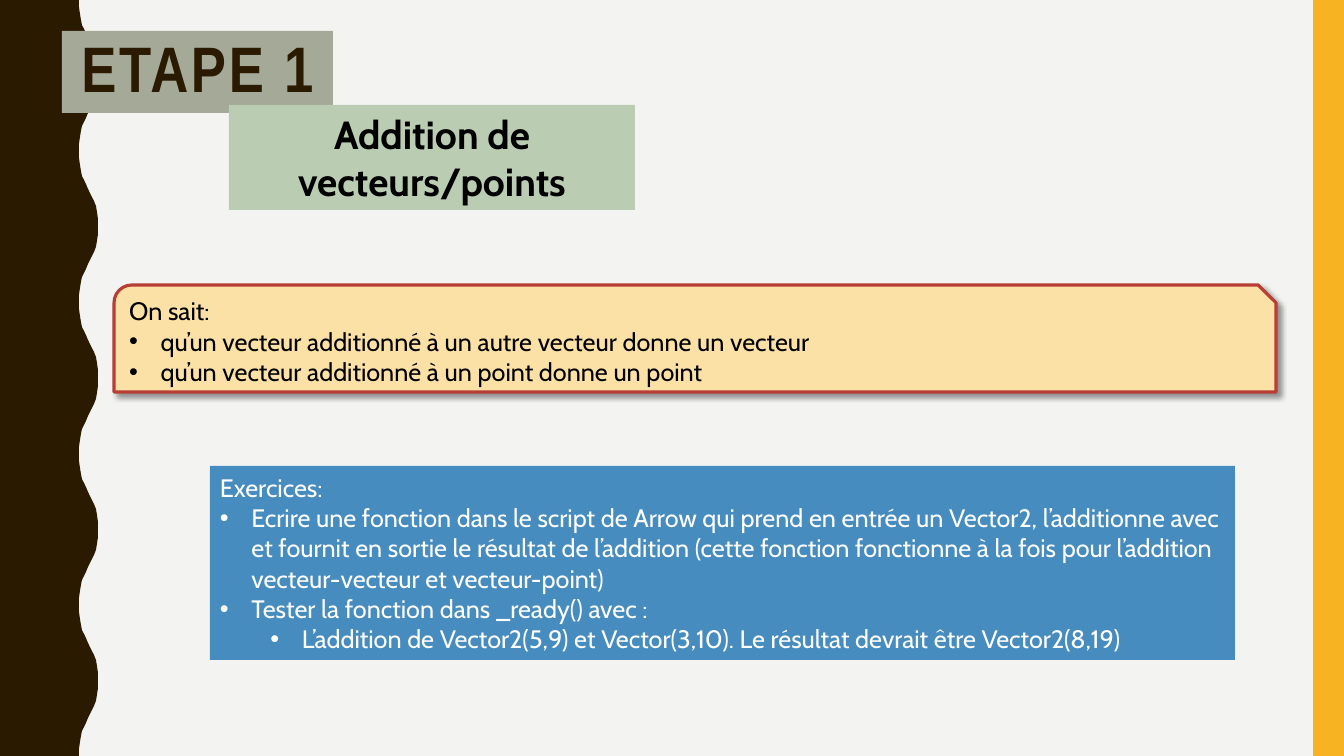
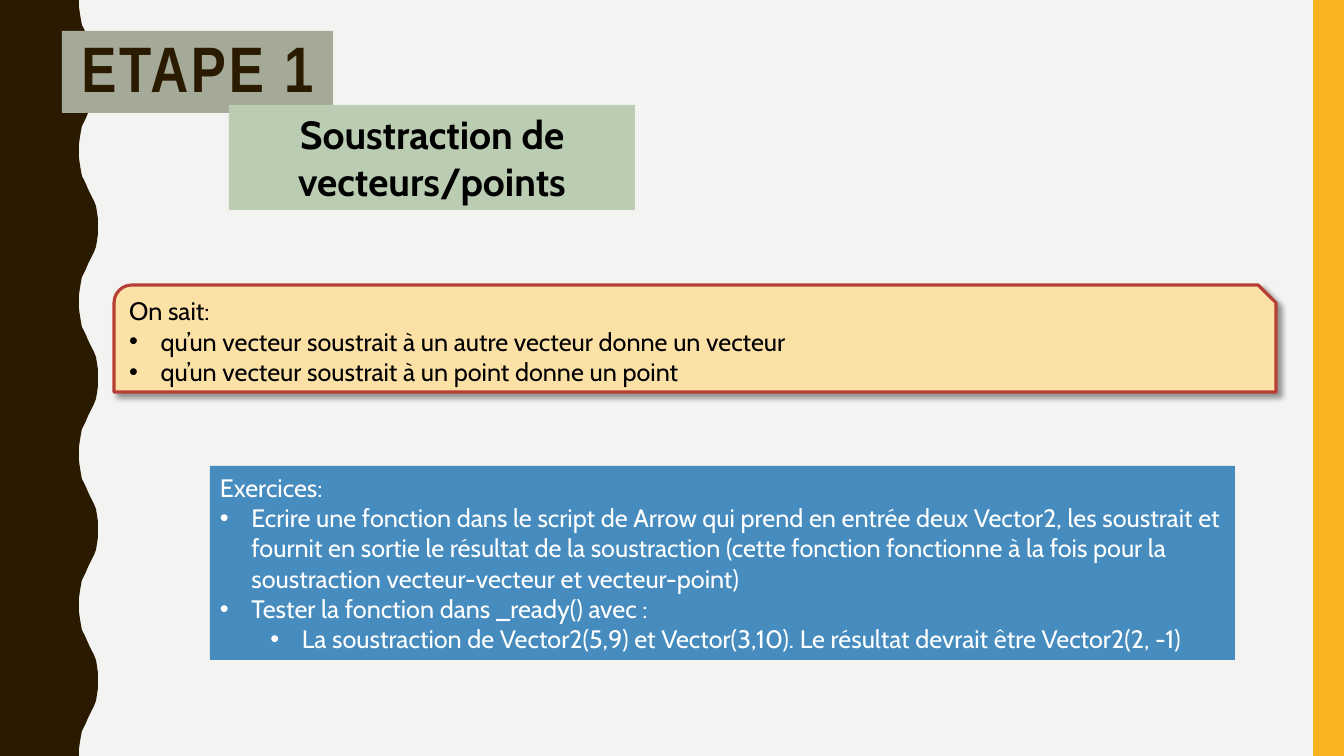
from lxml import etree
from pptx import Presentation
from pptx.dml.color import RGBColor
from pptx.enum.shapes import MSO_SHAPE
from pptx.enum.text import MSO_ANCHOR, MSO_AUTO_SIZE, PP_ALIGN
from pptx.oxml.ns import qn
from pptx.util import Emu, Pt

RECT = MSO_SHAPE.RECTANGLE
SNIP_ROUND = MSO_SHAPE.SNIP_ROUND_RECTANGLE
MIDDLE = MSO_ANCHOR.MIDDLE
GROW = MSO_AUTO_SIZE.SHAPE_TO_FIT_TEXT
FIXED = MSO_AUTO_SIZE.NONE
LEFT, CENTER, JUSTIFY = PP_ALIGN.LEFT, PP_ALIGN.CENTER, PP_ALIGN.JUSTIFY

WIDTH, HEIGHT = 1344, 756
SCALE = 12192000 / WIDTH
HANGING = 285750
LEVEL_STEP = 457200

COLORS = {
    "paper": "F3F3F2",
    "wave": "2A1A00",
    "band": "F8B323",
    "title": "A4A998",
    "topic": "BACCB2",
    "known": "FCE1A7",
    "known_line": "B73E35",
    "exercise": "478CBF",
    "black": "000000",
    "white": "FFFFFF",
}

BODY_FONT = {"name": "Cabin", "size": Pt(18), "bold": False}
TOPIC_FONT = {"name": "Cabin", "size": Pt(28), "bold": True}
TITLE_FONT = {"name": "Arial Narrow", "size": Pt(45.9), "bold": True}

WAVE_CREST = [(79, 0), (79, 7), (80, 14), (81, 20), (82, 25), (84, 29), (86, 33), (88, 38),
              (90, 42), (92, 46), (94, 50), (96, 55), (97, 61), (98, 68), (98, 75)]
WAVE_COUNT = 5

LESSONS = [
    {
        "topic": "Addition de vecteurs/points",
        "known": [
            "qu’un vecteur additionné à un autre vecteur donne un vecteur",
            "qu’un vecteur additionné à un point donne un point",
        ],
        "task": "Ecrire une fonction dans le script de Arrow qui prend en entrée un Vector2, "
                "l’additionne avec et fournit en sortie le résultat de l’addition (cette fonction "
                "fonctionne à la fois pour l’addition vecteur-vecteur et vecteur-point)",
        "check": "L’addition de Vector2(5,9) et Vector(3,10). Le résultat devrait être Vector2(8,19)",
    },
    {
        "topic": "Soustraction de vecteurs/points",
        "known": [
            "qu’un vecteur soustrait à un autre vecteur donne un vecteur",
            "qu’un vecteur soustrait à un point donne un point",
        ],
        "task": "Ecrire une fonction dans le script de Arrow qui prend en entrée deux Vector2, "
                "les soustrait et fournit en sortie le résultat de la soustraction (cette fonction "
                "fonctionne à la fois pour la soustraction vecteur-vecteur et vecteur-point)",
        "check": "La soustraction de Vector2(5,9) et Vector(3,10). Le résultat devrait être Vector2(2, -1)",
    },
]


def paint(shape, fill):
    shape.shadow.inherit = False
    shape.fill.solid()
    shape.fill.fore_color.rgb = RGBColor.from_string(COLORS[fill])
    shape.line.fill.background()


def add_panel(slide, preset, box, fill, lines, font, color, align, fit=GROW):
    panel = slide.shapes.add_shape(preset, *[Emu(round(v * SCALE)) for v in box])
    paint(panel, fill)
    frame = panel.text_frame
    frame.word_wrap = fit == GROW
    frame.auto_size = fit
    frame.vertical_anchor = MIDDLE
    for index, (depth, text) in enumerate(lines):
        paragraph = frame.add_paragraph() if index else frame.paragraphs[0]
        paragraph.alignment = align
        run = paragraph.add_run()
        run.text = text
        for key, value in font.items():
            setattr(run.font, key, value)
        run.font.color.rgb = RGBColor.from_string(COLORS[color])
        if depth:
            paragraph.level = depth - 1
            properties = paragraph._p.get_or_add_pPr()
            properties.set("marL", str(HANGING + LEVEL_STEP * (depth - 1)))
            properties.set("indent", str(-HANGING))
            etree.SubElement(properties, qn("a:buFont")).set("typeface", "Arial")
            etree.SubElement(properties, qn("a:buChar")).set("char", "•")
    return panel


prs = Presentation()
prs.slide_width = Emu(round(WIDTH * SCALE))
prs.slide_height = Emu(round(HEIGHT * SCALE))
blank = prs.slide_layouts[6]
blank.background.fill.solid()
blank.background.fill.fore_color.rgb = RGBColor.from_string(COLORS["paper"])
slides = [prs.slides.add_slide(blank) for lesson in LESSONS]

period = HEIGHT / WAVE_COUNT
full_wave = WAVE_CREST + [(x, period - y) for x, y in reversed(WAVE_CREST)]
edge = [(x, y + period * n) for n in range(WAVE_COUNT) for x, y in full_wave]
outline = slides[0].shapes.build_freeform(0, 0, scale=SCALE)
outline.add_line_segments(edge + [(0, HEIGHT)], close=True)
wave = outline.convert_to_shape()
paint(wave, "wave")
band = add_panel(slides[0], RECT, (1313, 0, 31, HEIGHT), "band", [], BODY_FONT, "black", LEFT, FIXED)
for decoration in (wave, band):
    blank.shapes._spTree.append(decoration._element)

for slide, lesson in zip(slides, LESSONS):
    title = add_panel(slide, RECT, (62, 31, 271, 82), "title", [(0, "ETAPE 1")],
                      TITLE_FONT, "wave", CENTER, FIXED)
    heading = title.text_frame.paragraphs[0]
    heading.line_spacing = 0.9
    heading.runs[0]._r.get_or_add_rPr().set("spc", "200")

    known = add_panel(slide, SNIP_ROUND, (114, 285, 1162, 107), "known",
                      [(0, "On sait:")] + [(1, fact) for fact in lesson["known"]],
                      BODY_FONT, "black", JUSTIFY)
    known.line.color.rgb = RGBColor.from_string(COLORS["known_line"])
    known.line.width = Pt(2.25)
    effects = known._element.spPr.find(qn("a:effectLst"))
    shadow = etree.SubElement(effects, qn("a:outerShdw"), blurRad=str(Pt(4)), dist=str(Pt(3)),
                              dir="2700000", algn="tl", rotWithShape="0")
    shade = etree.SubElement(shadow, qn("a:srgbClr"), val=COLORS["black"])
    etree.SubElement(shade, qn("a:alpha"), val="40000")

    add_panel(slide, RECT, (229, 105, 406, 105), "topic", [(0, lesson["topic"])],
              TOPIC_FONT, "black", CENTER)
    add_panel(slide, RECT, (210, 466, 1025, 194), "exercise",
              [(0, "Exercices:"), (1, lesson["task"]),
               (1, "Tester la fonction dans _ready() avec :"), (2, lesson["check"])],
              BODY_FONT, "white", LEFT)

prs.save("out.pptx")
